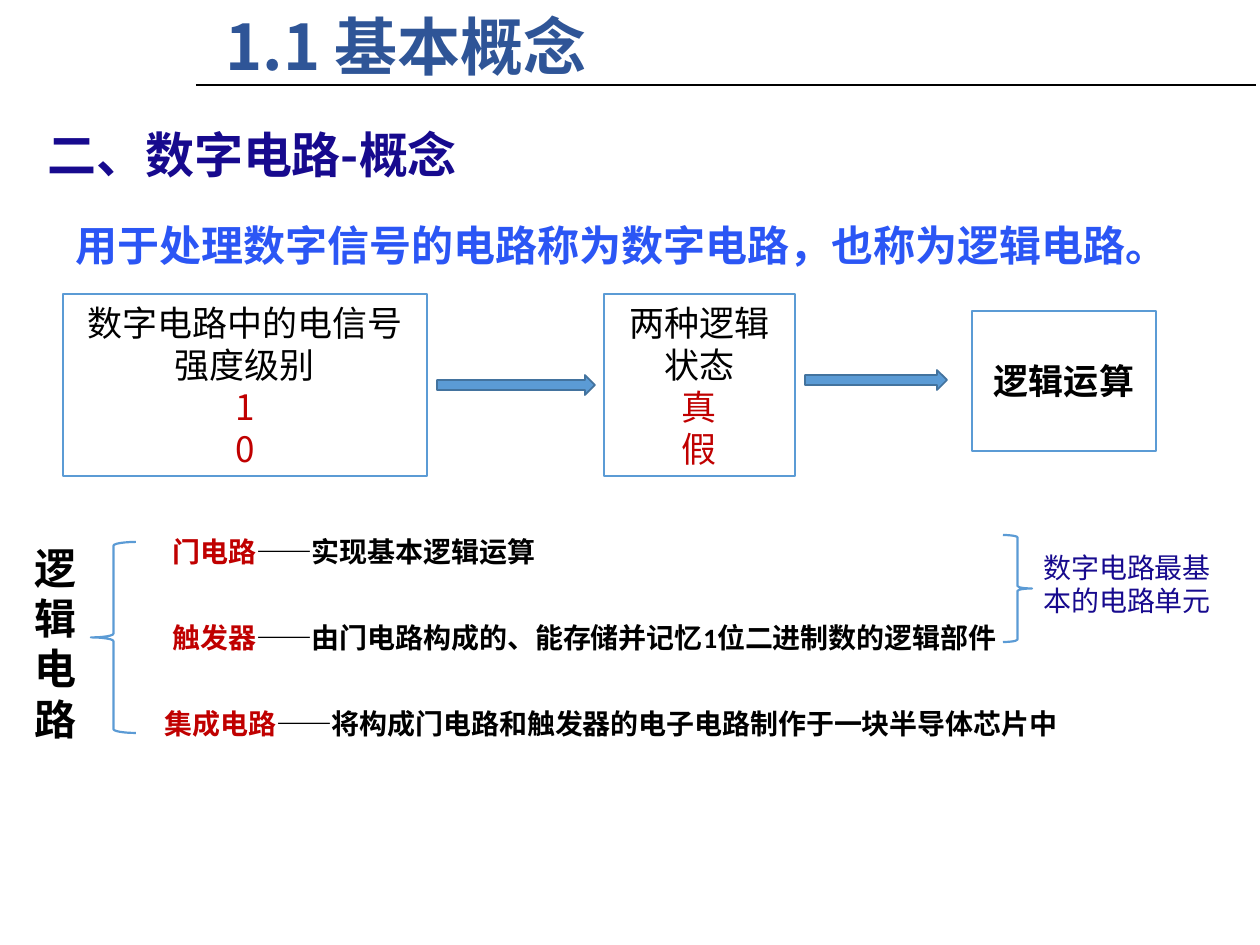
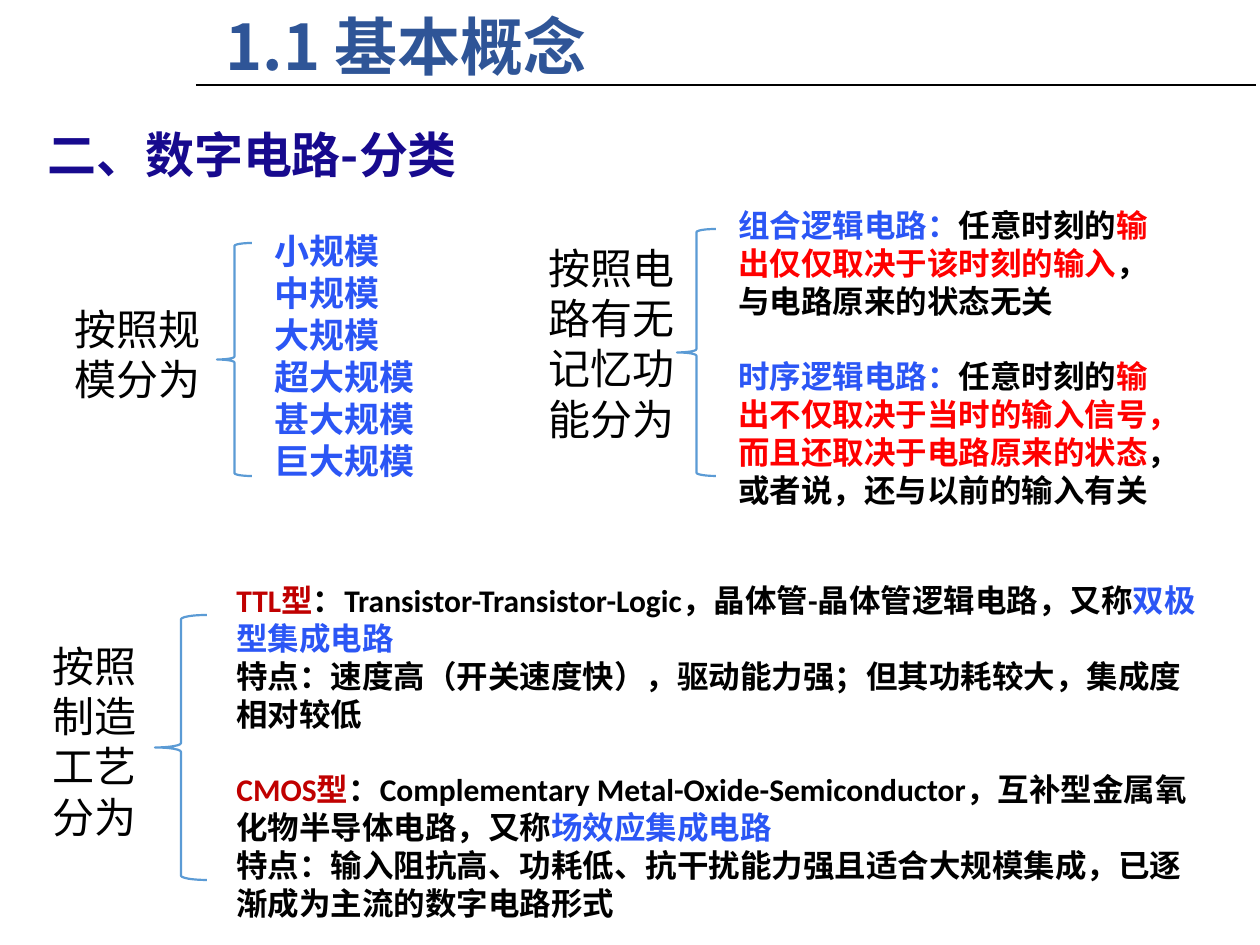
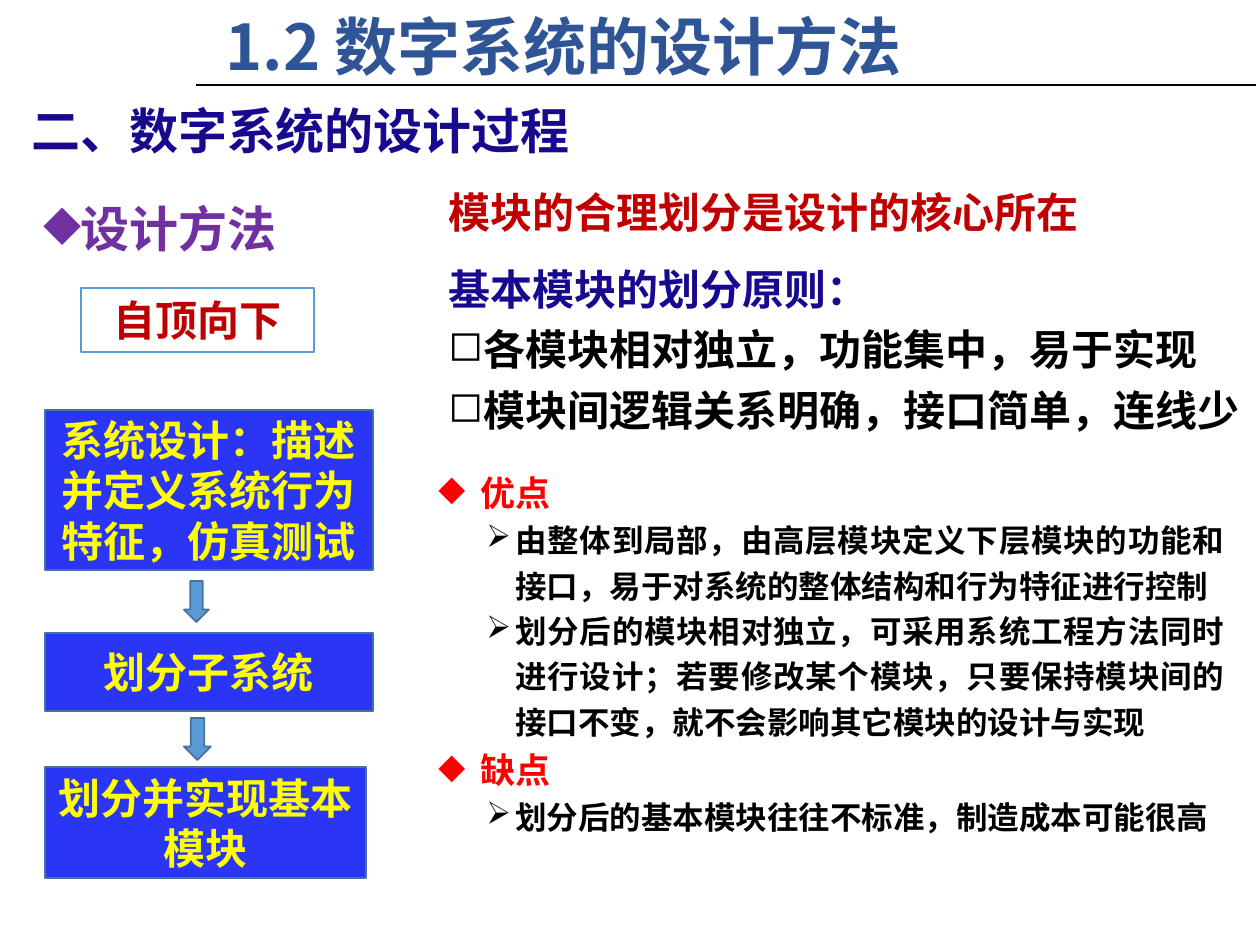
from lxml import etree
from pptx import Presentation
from pptx.dml.color import RGBColor
from pptx.enum.shapes import MSO_CONNECTOR, MSO_SHAPE
from pptx.enum.text import MSO_ANCHOR, PP_ALIGN
from pptx.oxml.ns import qn
from pptx.util import Emu, Pt

COLORS = {
    "title": "2F5597", "navy": "170A8E", "blue": "2B56F5", "black": "000000",
    "dark": "C00000", "red": "FF0000", "purple": "7030A0", "yellow": "FFFF00",
    "box": "2B35F5", "sky": "5B9BD5", "edge": "43739E",
}
SANS, BODY = "Noto Sans CJK SC", "Calibri"
LEFT, MID, JUST = PP_ALIGN.LEFT, PP_ALIGN.CENTER, PP_ALIGN.JUSTIFY

BOXES = [
    ((63, 294, 364, 182), False,
     [("数字电路中的电信号强度级别", "black"), ("1", "dark"), ("0", "dark")]),
    ((604, 294, 191, 182), False,
     [("两种逻辑状态", "black"), ("真", "dark"), ("假", "dark")]),
    ((972, 311, 184, 140), True, [("逻辑运算", "black")]),
]
FLOWS = [(437, 375, 158, 20), (805, 370, 142, 20)]
UNITS = [
    (160, 528, "门电路", "——实现基本逻辑运算"),
    (160, 614, "触发器", "——由门电路构成的、能存储并记忆1位二进制数的逻辑部件"),
    (152, 700, "集成电路", "——将构成门电路和触发器的电子电路制作于一块半导体芯片中"),
]

LABELS = [
    ((62, 297, 170, 115), "按照规模分为"),
    ((40, 634, 115, 217), "按照制造工艺分为"),
    ((536, 236, 170, 217), "按照电路有无记忆功能分为"),
]
BRACES = [(217, 243, 35, 233), (155, 615, 52, 265), (677, 229, 39, 247)]
SCALES = ["小规模", "中规模", "大规模", "超大规模", "甚大规模", "巨大规模"]
MEMORY = [
    [("组合逻辑电路：", "blue"), ("任意时刻的", "black"),
     ("输出仅仅取决于该时刻的输入", "red"), ("，与电路原来的状态无关", "black")],
    [("时序逻辑电路：", "blue"), ("任意时刻的", "black"),
     ("输出不仅取决于当时的输入信号，而且还取决于电路原来的状态", "red"),
     ("，或者说，还与以前的输入有关", "black")],
]
MAKING = [
    [("TTL型", "dark"),
     ("：Transistor-Transistor-Logic，晶体管-晶体管逻辑电路，又称", "black"),
     ("双极型集成电路", "blue")],
    [("特点：速度高（开关速度快），驱动能力强；但其功耗较大，集成度相对较低", "black")],
    [("CMOS型", "dark"),
     ("：Complementary Metal-Oxide-Semiconductor，互补型金属氧化物半导体电路，又称", "black"),
     ("场效应集成电路", "blue")],
    [("特点：输入阻抗高、功耗低、抗干扰能力强且适合大规模集成，已逐渐成为主流的数字电路形式", "black")],
]

STEPS = [
    ((45, 410, 328, 160), "系统设计：描述并定义系统行为特征，仿真测试"),
    ((45, 633, 328, 78), "划分子系统"),
    ((45, 767, 321, 111), "划分并实现基本模块"),
]
DROPS = [(184, 581, 25, 41), (184, 718, 27, 42)]
RULES = ["各模块相对独立，功能集中，易于实现", "模块间逻辑关系明确，接口简单，连线少"]
REVIEW = [
    ("优点", [
        "由整体到局部，由高层模块定义下层模块的功能和接口，易于对系统的整体结构和行为特征进行控制",
        "划分后的模块相对独立，可采用系统工程方法同时进行设计；若要修改某个模块，只要保持模块间的接口不变，就不会影响其它模块的设计与实现"]),
    ("缺点", ["划分后的基本模块往往不标准，制造成本可能很高"]),
]


def px(n):
    return Emu(round(n * 914400 / 126))


def rgb(name):
    return RGBColor.from_string(COLORS[name])


def para(runs, size, bold=True, font=SANS, align=LEFT, gap=0, lines=None,
         mark=None, left=29, hang=29):
    return dict(runs=runs, size=size, bold=bold, font=font, align=align, gap=gap,
                lines=lines, mark=mark, left=left, hang=hang)


def fill_text(frame, paras):
    frame.word_wrap = True
    for i, item in enumerate(paras):
        p = frame.add_paragraph() if i else frame.paragraphs[0]
        p.alignment = item["align"]
        if item["lines"]:
            p.line_spacing = item["lines"]
        if item["gap"]:
            p.space_before = Pt(item["gap"])
        if item["mark"]:
            props = p._p.get_or_add_pPr()
            props.set("marL", str(px(item["left"])))
            props.set("indent", str(-px(item["hang"])))
            etree.SubElement(props, qn("a:buChar")).set("char", item["mark"])
        p.font.size = Pt(item["size"])
        p.font.bold = item["bold"]
        p.font.name = item["font"]
        tints = {tint for _, tint in item["runs"]}
        if len(tints) == 1:
            p.font.color.rgb = rgb(item["runs"][0][1])
        for words, tint in item["runs"]:
            run = p.add_run()
            run.text = words
            if len(tints) > 1:
                run.font.color.rgb = rgb(tint)


def text(slide, box, paras):
    fill_text(slide.shapes.add_textbox(*map(px, box)).text_frame, paras)


def label(slide, box, words, tint, size, bold=True):
    text(slide, box, [para([(words, tint)], size, bold)])


def shape(slide, kind, box, fill=None, line="sky", width=1.25, paras=()):
    item = slide.shapes.add_shape(kind, *map(px, box))
    item.shadow.inherit = False
    if fill:
        item.fill.solid()
        item.fill.fore_color.rgb = rgb(fill)
    else:
        item.fill.background()
    item.line.color.rgb = rgb(line)
    item.line.width = Pt(width)
    if paras:
        item.text_frame.vertical_anchor = MSO_ANCHOR.MIDDLE
        fill_text(item.text_frame, paras)


def page(deck, title, head, spot):
    slide = deck.slides.add_slide(deck.slide_layouts[6])
    rule = slide.shapes.add_connector(
        MSO_CONNECTOR.STRAIGHT, px(196), px(85), px(1256), px(85))
    rule.line.color.rgb = rgb("black")
    rule.line.width = Pt(1.25)
    etree.SubElement(rule._element.spPr, qn("a:effectLst"))
    label(slide, (213, 1, 755, 90), title, "title", 36)
    label(slide, (*spot, 640, 72), head, "navy", 28)
    return slide


def concept(deck):
    slide = page(deck, "1.1 基本概念", "二、数字电路-概念", (35, 118))
    label(slide, (63, 213, 1094, 64), "用于处理数字信号的电路称为数字电路，也称为逻辑电路。", "blue", 24)
    for box, bold, rows in BOXES:
        shape(slide, MSO_SHAPE.RECTANGLE, box,
              paras=[para([row], 20, bold, align=MID) for row in rows])
    for box in FLOWS:
        shape(slide, MSO_SHAPE.RIGHT_ARROW, box, "sky", "edge", 1)
    label(slide, (22, 536, 58, 217), "逻辑电路", "black", 24)
    shape(slide, MSO_SHAPE.LEFT_BRACE, (91, 542, 45, 191))
    for x, y, name, words in UNITS:
        text(slide, (x, y, 990, 47),
             [para([(name, "dark"), (words, "black")], 16, font=BODY)])
    shape(slide, MSO_SHAPE.RIGHT_BRACE, (1003, 535, 29, 107))
    label(slide, (1031, 544, 197, 81), "数字电路最基本的电路单元", "navy", 16, False)


def classes(deck):
    slide = page(deck, "1.1 基本概念", "二、数字电路-分类", (35, 118))
    for box, words in LABELS:
        label(slide, box, words, "black", 24, False)
    for box in BRACES:
        shape(slide, MSO_SHAPE.LEFT_BRACE, box)
    text(slide, (262, 223, 193, 267), [para([(s, "blue")], 20) for s in SCALES])
    text(slide, (726, 200, 456, 318),
         [para(runs, 18, font=BODY, gap=21.6 * i) for i, runs in enumerate(MEMORY)])
    text(slide, (224, 575, 995, 357),
         [para(runs, 18, font=BODY, gap=21.6 * (i == 2)) for i, runs in enumerate(MAKING)])


def method(deck):
    slide = page(deck, "1.2 数字系统的设计方法", "二、数字系统的设计过程", (19, 94))
    text(slide, (31, 163, 302, 90),
         [para([("设计方法", "purple")], 28, lines=1.5, mark="◆")])
    shape(slide, MSO_SHAPE.RECTANGLE, (81, 288, 233, 64),
          paras=[para([("自顶向下", "dark")], 24, align=MID)])
    for box, words in STEPS:
        shape(slide, MSO_SHAPE.RECTANGLE, box, "box", "edge", 1,
              [para([(words, "yellow")], 24, align=MID)])
    for box in DROPS:
        shape(slide, MSO_SHAPE.DOWN_ARROW, box, "sky", "edge", 1)
    label(slide, (436, 180, 706, 64), "模块的合理划分是设计的核心所在", "dark", 24)
    text(slide, (436, 247, 825, 188),
         [para([("基本模块的划分原则：", "navy")], 24, lines=1.2)]
         + [para([(s, "black")], 24, lines=1.2, mark="◻") for s in RULES])
    rows = []
    for head, points in REVIEW:
        rows.append(para([(head, "red")], 20, align=JUST, lines=1.2, mark="◆",
                         left=42, hang=42))
        rows += [para([(s, "black")], 18, align=JUST, lines=1.2, mark="➢", left=77)
                 for s in points]
    text(slide, (426, 457, 811, 386), rows)


def main():
    deck = Presentation()
    deck.slide_width, deck.slide_height = px(1260), px(945)
    concept(deck)
    classes(deck)
    method(deck)
    deck.save("out.pptx")


if __name__ == "__main__":
    main()
